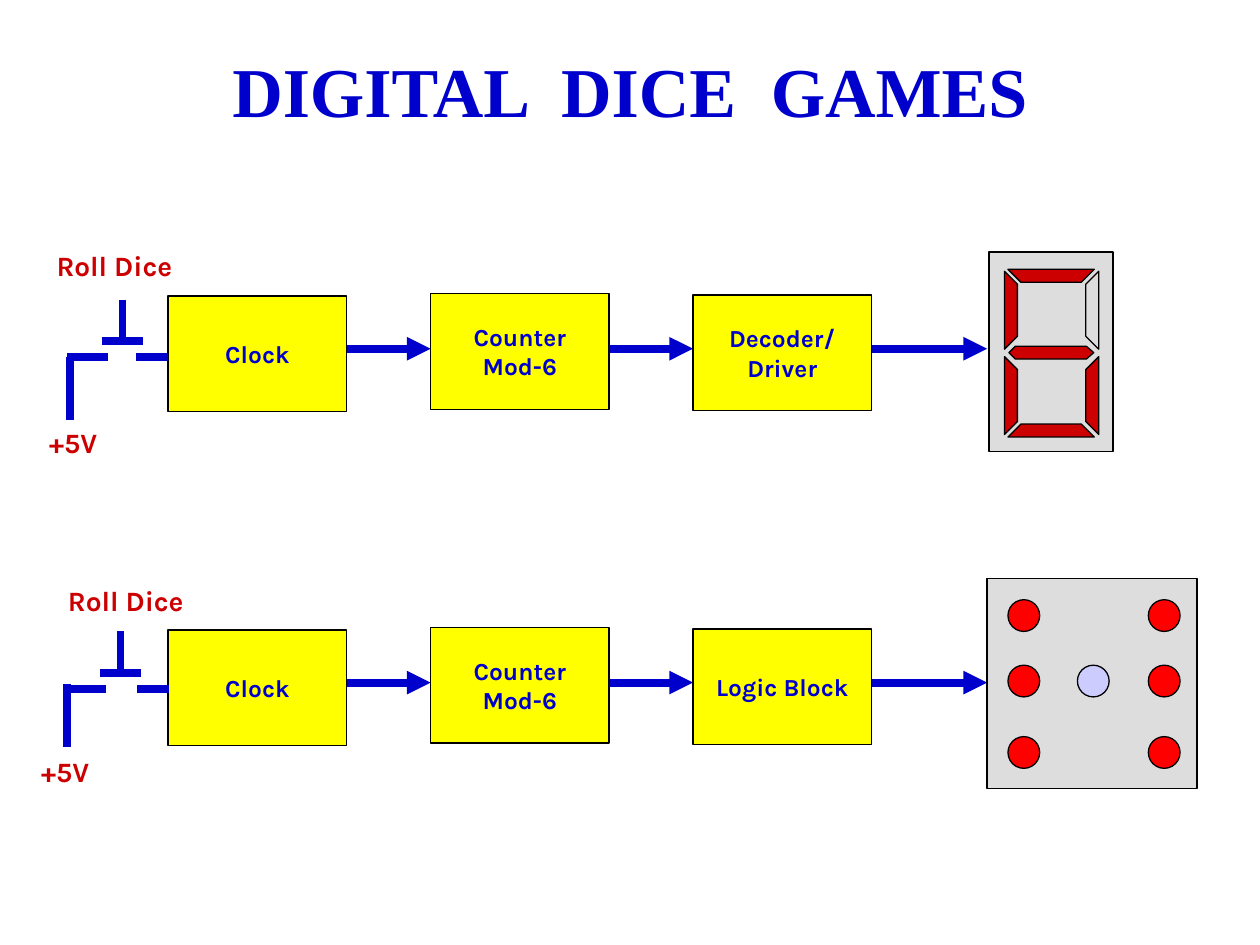
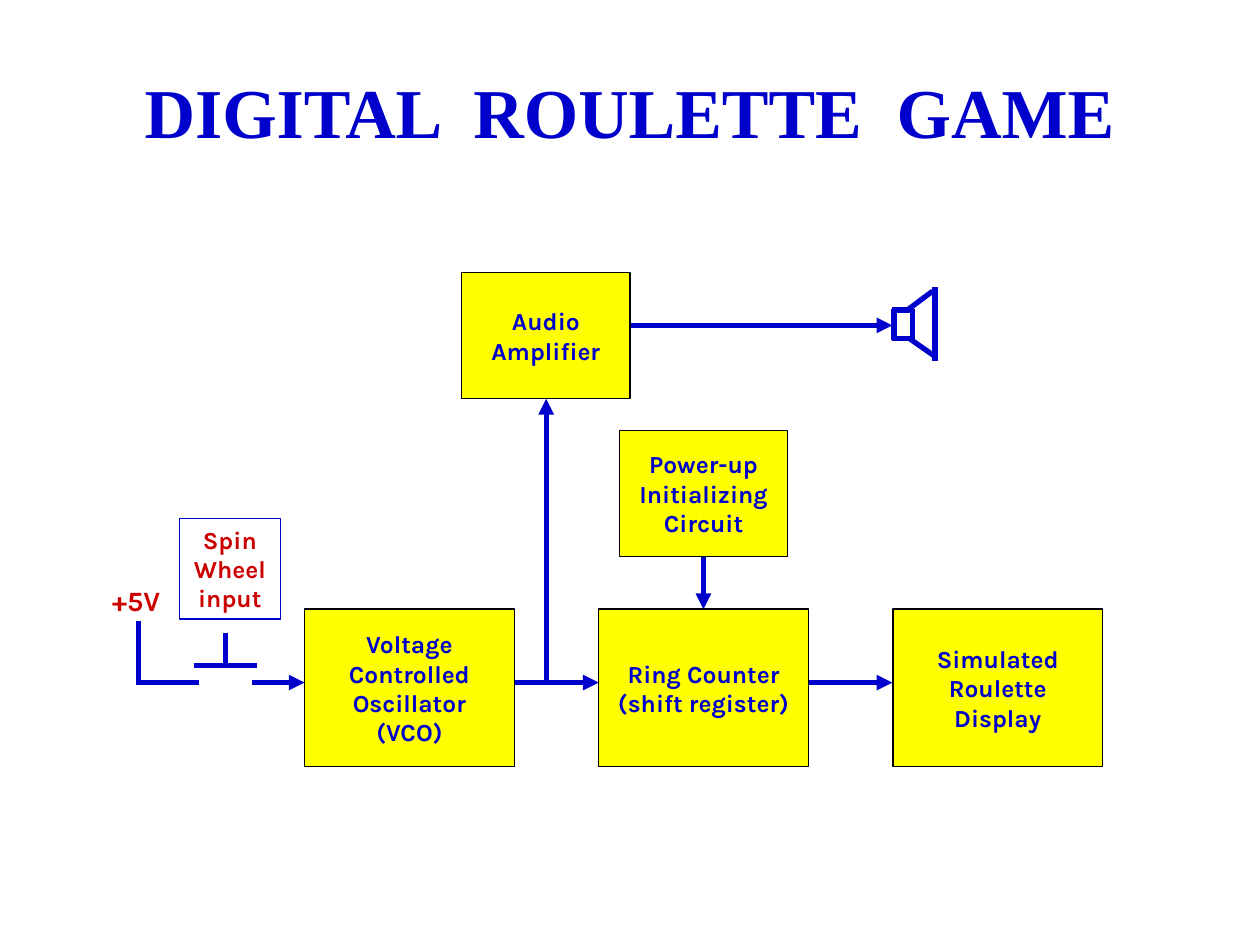
"""Build two slides of block diagrams: digital dice games and a digital roulette game."""
from typing import NamedTuple

from lxml.etree import SubElement
from pptx import Presentation
from pptx.dml.color import RGBColor
from pptx.enum.shapes import MSO_CONNECTOR, MSO_SHAPE
from pptx.enum.text import MSO_ANCHOR, MSO_AUTO_SIZE, PP_ALIGN
from pptx.oxml.ns import qn
from pptx.util import Cm, Pt

COLORS = {
    "blue": "0000CC",
    "red": "CC0000",
    "yellow": "FFFF00",
    "grey": "DDDDDD",
    "black": "000000",
    "dot_on": "FF0000",
    "dot_off": "CCCCFF",
}
TITLE_FONT = {"name": "Times New Roman", "size": Pt(40), "bold": True}
BLOCK_FONT = {"name": "Karla", "size": Pt(14), "bold": True}
LABEL_FONT = {"name": "Karla", "size": Pt(16), "bold": True}
CENTRED = {"word_wrap": False, "vertical_anchor": MSO_ANCHOR.MIDDLE}
TOP = {"word_wrap": False, "vertical_anchor": MSO_ANCHOR.TOP}
TITLE_FRAME = {"word_wrap": True, "auto_size": MSO_AUTO_SIZE.NONE,
               "vertical_anchor": MSO_ANCHOR.MIDDLE}

BLOCK_W, BLOCK_H, BLOCK_PITCH = 3.6, 2.33, 5.29
ROW_PITCH = 6.73
STAGE_W, STAGE_H, STAGE_PITCH = 4.23, 3.18, 5.93
SEGMENT_DEPTH, DOT = 0.26, 0.64


class Block(NamedTuple):
    lines: list[str]
    x: float
    y: float
    w: float
    h: float


class Wire(NamedTuple):
    x1: float
    y1: float
    x2: float
    y2: float
    arrow: bool = False


class Label(NamedTuple):
    text: str
    x: float
    y: float
    w: float


class Segment(NamedTuple):
    x: float
    y: float
    length: float
    depth: float
    upright: bool
    color: str = "red"


class Row(NamedTuple):
    steps: list[list[str]]
    switch: list[Wire]
    labels: list[Label]


DICE_ROWS = [
    Row([["Clock"], ["Counter", "Mod-6"], ["Decoder/", "Driver"]],
        [Wire(2.74, 7.19, 3.39, 7.19), Wire(1.35, 7.19, 2.18, 7.19),
         Wire(1.42, 8.46, 1.42, 7.19), Wire(2.05, 6.88, 2.89, 6.88),
         Wire(2.47, 6.04, 2.47, 6.88)],
        [Label("Roll Dice", 0.89, 4.88, 2.92), Label("+5V", 0.74, 8.46, 1.52)]),
    Row([["Clock"], ["Counter", "Mod-6"], ["Logic Block"]],
        [Wire(2.77, 13.89, 3.4, 13.89), Wire(1.3, 13.89, 2.13, 13.89),
         Wire(1.35, 15.06, 1.35, 13.79), Wire(2.01, 13.56, 2.85, 13.56),
         Wire(2.43, 12.73, 2.43, 13.56)],
        [Label("Roll Dice", 1.12, 11.63, 2.92), Label("+5V", 0.58, 15.09, 1.52)]),
]
SEGMENTS = [
    Segment(20.32, 5.43, 1.74, SEGMENT_DEPTH, False),
    Segment(20.32, 8.81, 1.74, -SEGMENT_DEPTH, False),
    Segment(20.25, 5.47, 1.57, SEGMENT_DEPTH, True),
    Segment(20.25, 7.19, 1.57, SEGMENT_DEPTH, True),
    Segment(22.15, 5.47, 1.57, -SEGMENT_DEPTH, True, "grey"),
    Segment(22.15, 7.19, 1.57, -SEGMENT_DEPTH, True),
]
MIDDLE_SEGMENT = [(20.47, 7.24), (21.9, 7.24), (22.05, 7.11),
                  (21.9, 6.98), (20.47, 6.98), (20.34, 7.11)]

STAGES = [
    ["Voltage", "Controlled", "Oscillator", "(VCO)"],
    ["Ring Counter", "(shift register)"],
    ["Simulated", "Roulette", "Display"],
]
ROULETTE_BLOCKS = [
    Block(["Audio", "Amplifier"], 9.31, 5.5, 3.39, 2.54),
    Block(["Power-up", "Initializing", "Circuit"], 12.49, 8.68, 3.39, 2.54),
] + [Block(lines, 6.14 + i * STAGE_PITCH, 12.28, STAGE_W, STAGE_H)
     for i, lines in enumerate(STAGES)]
SIGNAL_ARROWS = [
    Wire(12.49, 6.56, 17.99, 6.56, True),
    Wire(5.08, 13.76, 6.14, 13.76, True),
    Wire(10.37, 13.76, 12.07, 13.76, True),
    Wire(16.3, 13.76, 17.99, 13.76, True),
    Wire(14.18, 11.22, 14.18, 12.28, True),
    Wire(11.01, 13.76, 11.01, 8.04, True),
]
SPIN_SWITCH = [
    Wire(2.75, 13.76, 4.02, 13.76), Wire(2.79, 12.52, 2.79, 13.79),
    Wire(3.92, 13.41, 5.18, 13.41), Wire(4.55, 12.77, 4.55, 13.41),
]
SPEAKER = [
    Wire(18.02, 6.22, 18.02, 6.86), Wire(18.4, 6.22, 18.4, 6.86),
    Wire(17.98, 6.25, 18.42, 6.25), Wire(17.98, 6.83, 18.42, 6.83),
    Wire(18.85, 5.79, 18.85, 7.27), Wire(18.34, 6.83, 18.87, 7.2),
    Wire(18.29, 6.25, 18.8, 5.87),
]


def rgb(name: str) -> RGBColor:
    return RGBColor.from_string(COLORS[name])


def apply(target, values: dict) -> None:
    for key, value in values.items():
        setattr(target, key, value)


def write(tf, lines: list[str], font: dict, color: str, frame: dict,
          align=PP_ALIGN.CENTER) -> None:
    apply(tf, frame)
    for i, line in enumerate(lines):
        p = tf.add_paragraph() if i else tf.paragraphs[0]
        p.alignment = align
        r = p.add_run()
        r.text = line
        apply(r.font, font)
        r.font.color.rgb = rgb(color)


def paint(sp, fill: str | None, line: str = "black"):
    sp.shadow.inherit = False
    if fill:
        sp.fill.solid()
        sp.fill.fore_color.rgb = rgb(fill)
    else:
        sp.fill.background()
    sp.line.color.rgb = rgb(line)
    sp.line.width = Pt(0.75)
    return sp


def add_preset(s, kind, x: float, y: float, w: float, h: float,
               fill: str | None, line: str = "black"):
    return paint(s.shapes.add_shape(kind, Cm(x), Cm(y), Cm(w), Cm(h)), fill, line)


def add_block(s, block: Block) -> None:
    sp = add_preset(s, MSO_SHAPE.RECTANGLE, *block[1:], "yellow")
    write(sp.text_frame, block.lines, BLOCK_FONT, "blue", CENTRED)


def add_wires(s, wires: list[Wire], width: float) -> None:
    for wire in wires:
        sp = s.shapes.add_connector(MSO_CONNECTOR.STRAIGHT, *map(Cm, wire[:4]))
        sp.line.color.rgb = rgb("blue")
        sp.line.width = Pt(width)
        if wire.arrow:
            SubElement(sp.line._get_or_add_ln(), qn("a:tailEnd"), type="triangle")
        SubElement(sp._element.spPr, qn("a:effectLst"))


def add_label(s, label: Label) -> None:
    sp = s.shapes.add_textbox(Cm(label.x), Cm(label.y), Cm(label.w), Cm(0.94))
    write(sp.text_frame, [label.text], LABEL_FONT, "red", TOP, PP_ALIGN.LEFT)


def add_outline(s, points: list[tuple[float, float]], fill: str) -> None:
    start, *rest = [(Cm(x), Cm(y)) for x, y in points]
    builder = s.shapes.build_freeform(*start)
    builder.add_line_segments(rest)
    paint(builder.convert_to_shape(), fill)


def add_segment(s, seg: Segment) -> None:
    bevel = abs(seg.depth)
    along = [(0, 0), (seg.length, 0), (seg.length - bevel, seg.depth), (bevel, seg.depth)]
    offsets = [(b, a) for a, b in along] if seg.upright else along
    add_outline(s, [(seg.x + dx, seg.y + dy) for dx, dy in offsets], seg.color)


def add_titled_slide(prs, text: str, x: float, y: float, w: float, h: float):
    s = prs.slides.add_slide(prs.slide_layouts[5])
    sp = s.shapes.title
    apply(sp, {"left": Cm(x), "top": Cm(y), "width": Cm(w), "height": Cm(h)})
    write(sp.text_frame, [text], TITLE_FONT, "blue", TITLE_FRAME)
    return s


def add_row(s, row: Row, dy: float) -> None:
    ends = [8.68, 13.97, 19.9]
    add_wires(s, [Wire(x - BLOCK_H, 7.03 + dy, x, 7.03 + dy, True) for x in ends], 4.5)
    for i, (lines, top) in enumerate(zip(row.steps, [5.97, 5.92, 5.95])):
        add_block(s, Block(lines, 3.39 + i * BLOCK_PITCH, top + dy, BLOCK_W, BLOCK_H))
    add_wires(s, row.switch, 4.5)
    for label in row.labels:
        add_label(s, label)


def build_dice(prs) -> None:
    s = add_titled_slide(prs, "DIGITAL  DICE  GAMES", 3.6, 0.85, 18.2, 1.9)
    for i, row in enumerate(DICE_ROWS):
        add_row(s, row, i * ROW_PITCH)
    add_preset(s, MSO_SHAPE.RECTANGLE, 19.94, 5.08, 2.5, 4.02, "grey")
    for seg in SEGMENTS:
        add_segment(s, seg)
    add_outline(s, MIDDLE_SEGMENT, "red")
    add_preset(s, MSO_SHAPE.RECTANGLE, 19.9, 11.66, 4.23, 4.23, "grey")
    add_preset(s, MSO_SHAPE.OVAL, 21.72, 13.41, DOT, DOT, "dot_off")
    for x in (20.32, 23.15):
        for y in (12.09, 13.41, 14.85):
            add_preset(s, MSO_SHAPE.OVAL, x, y, DOT, DOT, "dot_on")


def build_roulette(prs) -> None:
    s = add_titled_slide(prs, "DIGITAL  ROULETTE  GAME", 1.9, 1.06, 21.59, 2.33)
    add_wires(s, SIGNAL_ARROWS + SPIN_SWITCH + SPEAKER, 3)
    for block in ROULETTE_BLOCKS:
        add_block(s, block)
    sp = add_preset(s, MSO_SHAPE.RECTANGLE, 3.62, 10.45, 2.03, 2.03, None, "blue")
    write(sp.text_frame, ["Spin", "Wheel", "input"], BLOCK_FONT, "red", TOP)
    add_label(s, Label("+5V", 2.01, 11.63, 1.52))


def main() -> None:
    prs = Presentation()
    prs.slide_width, prs.slide_height = Cm(25.4), Cm(19.05)
    build_dice(prs)
    build_roulette(prs)
    prs.save("out.pptx")


if __name__ == "__main__":
    main()
